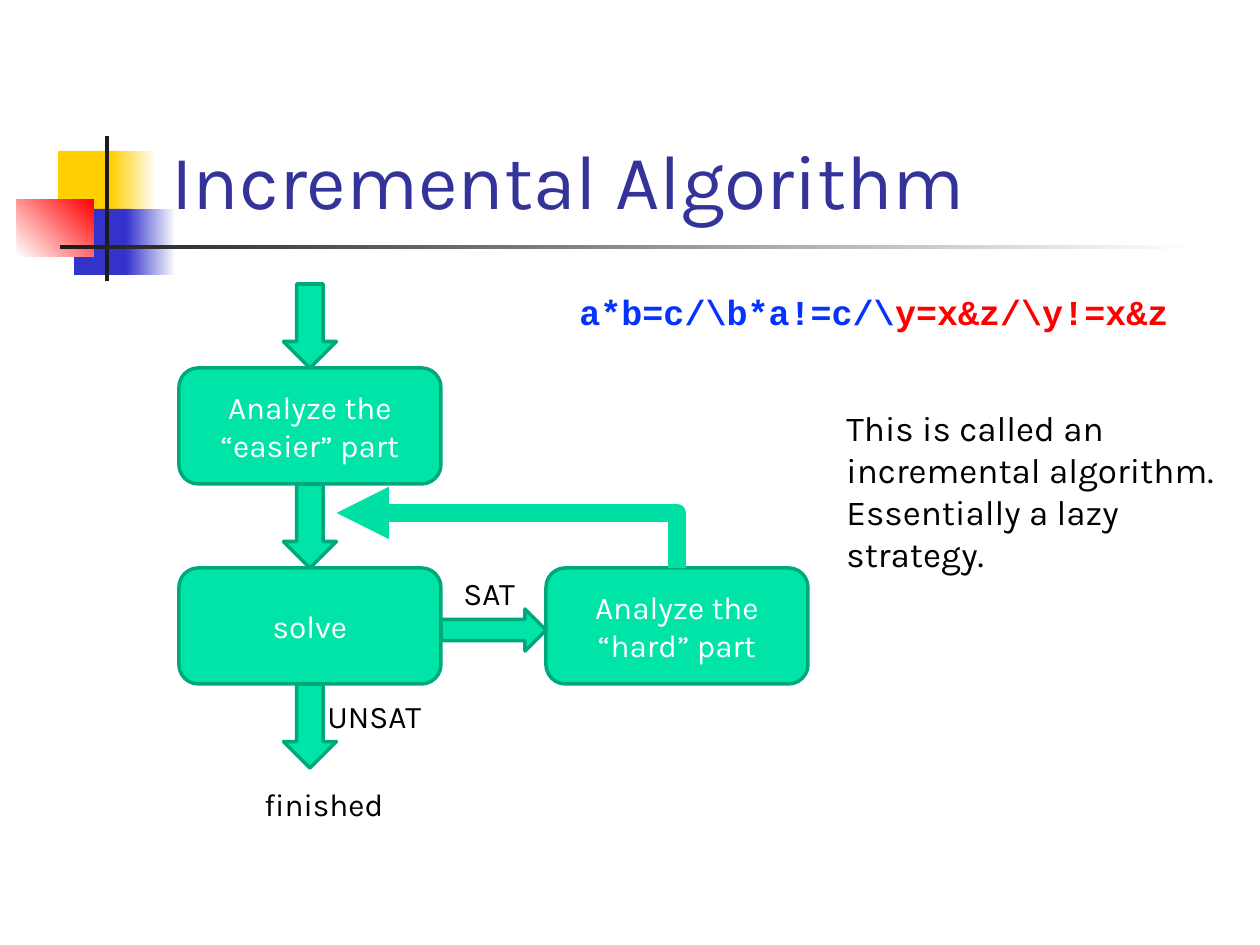
from lxml import etree
from pptx import Presentation
from pptx.dml.color import RGBColor
from pptx.enum.shapes import MSO_CONNECTOR as Connector, MSO_SHAPE as Shape
from pptx.enum.text import MSO_ANCHOR as Anchor, PP_ALIGN as Align
from pptx.oxml.ns import qn
from pptx.util import Emu, Pt

PX = 914400 / 126
FONT, CODE_FONT = "Karla", "Courier New"
GREEN, DARK_GREEN, LOOP_GREEN = "00E4A8", "00A97C", "00DFA4"
WHITE, BLACK, INK = "FFFFFF", "000000", "1C1C1C"
YELLOW, BLUE, RED, TITLE_BLUE, CODE_BLUE = "FFCF01", "3333CC", "FF0000", "333399", "0432FF"


def px(*lengths):
    return [Emu(round(length * PX)) for length in lengths]


def colour(value):
    return RGBColor.from_string(value)


def write(shape, spans, size, font=FONT, bold=False, align=Align.LEFT, anchor=Anchor.TOP):
    """Fill a shape with one paragraph made of (text, colour) spans."""
    frame = shape.text_frame
    frame.word_wrap = True
    frame.vertical_anchor = anchor
    para = frame.paragraphs[0]
    para.alignment = align
    for text, shade in spans:
        span = para.add_run()
        span.text = text
        span.font.name, span.font.size, span.font.bold = font, Pt(size), bold
        span.font.color.rgb = colour(shade)


def add_text(page, box, *spans, size=18, **style):
    write(page.shapes.add_textbox(*px(*box)), spans, size, **style)


def add_block(page, box, *stops, angle=0):
    """Borderless rectangle, solid for one colour and a gradient for two."""
    block = page.shapes.add_shape(Shape.RECTANGLE, *px(*box))
    block.shadow.inherit = False
    block.line.fill.background()
    if len(stops) == 1:
        block.fill.solid()
        block.fill.fore_color.rgb = colour(stops[0])
        return
    block.fill.gradient()
    block.fill.gradient_angle = angle
    for stop, shade in zip(block.fill.gradient_stops, stops):
        stop.color.rgb = colour(shade)


def add_green(page, kind, box):
    shape = page.shapes.add_shape(kind, *px(*box))
    shape.shadow.inherit = False
    shape.fill.solid()
    shape.fill.fore_color.rgb = colour(GREEN)
    shape.line.color.rgb = colour(DARK_GREEN)
    shape.line.width = Pt(2)
    return shape


def add_step(page, box, text):
    step = add_green(page, Shape.ROUNDED_RECTANGLE, box)
    write(step, [(text, WHITE)], 18, align=Align.CENTER, anchor=Anchor.MIDDLE)


def add_loop_arrow(page, start_x, start_y, end_x, end_y):
    """Thick arrow that goes up from the start, then left to the end."""
    run, rise = start_x - end_x, start_y - end_y
    mid_x, mid_y = (start_x + end_x) / 2, (start_y + end_y) / 2
    # A quarter turn swaps the sides of the frame around its centre.
    loop = page.shapes.add_connector(
        Connector.ELBOW,
        *px(mid_x - rise / 2, mid_y + run / 2, mid_x + rise / 2, mid_y - run / 2))
    loop.line.color.rgb = colour(LOOP_GREEN)
    loop.line.width = Pt(10)
    properties = loop.element.spPr
    properties.find(qn("a:xfrm")).set("rot", str(270 * 60000))
    properties.find(qn("a:prstGeom")).set("prst", "bentConnector2")
    etree.SubElement(properties.find(qn("a:ln")), qn("a:tailEnd"), type="triangle")
    etree.SubElement(properties, qn("a:effectLst"))


def add_header(page, left, top):
    add_block(page, (left + 41, top + 15, 60, 66), YELLOW)
    add_block(page, (left + 94, top + 15, 45, 66), YELLOW, WHITE)
    add_block(page, (left + 57, top + 73, 58, 66), BLUE)
    add_block(page, (left + 109, top + 73, 50, 66), BLUE, WHITE)
    add_block(page, (left, top + 63, 77, 58), WHITE, RED, angle=45)
    add_block(page, (left + 88, top, 4, 145), INK)
    add_block(page, (left + 43, top + 109, 1134, 4), INK, WHITE)
    add_text(page, (left + 142, top - 107, 1074, 202),
             ("Incremental Algorithm", TITLE_BLUE), size=44, anchor=Anchor.BOTTOM)


def add_flowchart(page, left, top):
    step_w, step_h, arrow_w, arrow_h, gap = 262, 116, 53, 84, 105
    pitch = step_h + arrow_h
    middle = left + step_w / 2
    solve_y = top + pitch + arrow_h
    hard_x = left + step_w + gap

    add_step(page, (left, top + arrow_h, step_w, step_h), "Analyze the “easier” part")
    add_step(page, (left, solve_y, step_w, step_h), "solve")
    add_step(page, (hard_x, solve_y, step_w, step_h), "Analyze the “hard” part")
    for row in range(3):
        add_green(page, Shape.DOWN_ARROW,
                  (middle - arrow_w / 2, top + row * pitch, arrow_w, arrow_h))
    add_green(page, Shape.RIGHT_ARROW, (left + step_w, solve_y + 41, gap, 42))
    add_loop_arrow(page, hard_x + step_w / 2, solve_y, middle + arrow_w / 2, solve_y - 55)

    add_text(page, (left + 272, solve_y, 95, 50), ("SAT", BLACK))
    add_text(page, (left + 136, solve_y + 123, 147, 50), ("UNSAT", BLACK))
    add_text(page, (left + 73, solve_y + 211, 147, 50), ("finished", BLACK))


def add_notes_column(page, left, top):
    add_text(page, (left, top, 662, 55), ("a*b=c/\\b*a!=c/\\", CODE_BLUE),
             ("y=x&z/\\y!=x&z", RED), size=20, font=CODE_FONT, bold=True)
    add_text(page, (left + 267, top + 116, 394, 183),
             ("This is called an incremental algorithm. Essentially a lazy strategy.", BLACK),
             size=20)


def main():
    deck = Presentation()
    deck.slide_width, deck.slide_height = px(1260, 945)
    page = deck.slides.add_slide(deck.slide_layouts[6])
    add_header(page, 17, 136)
    add_flowchart(page, 179, 284)
    add_notes_column(page, 567, 284)
    deck.save("out.pptx")


if __name__ == "__main__":
    main()
